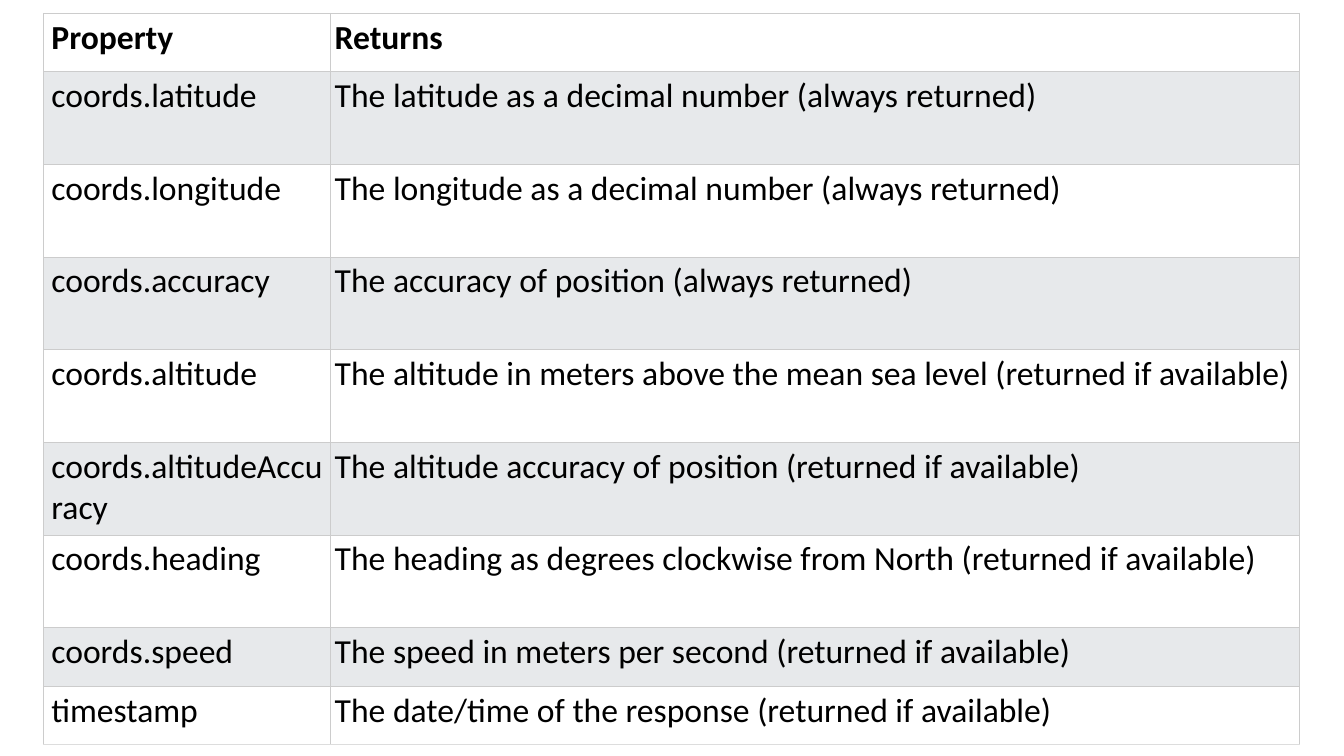
from lxml.etree import SubElement
from pptx import Presentation
from pptx.dml.color import RGBColor
from pptx.oxml.ns import qn
from pptx.util import Inches, Pt

PROPERTIES = [
    ("Property", "Returns"),
    ("coords.latitude", "The latitude as a decimal number (always returned)"),
    ("coords.longitude", "The longitude as a decimal number (always returned)"),
    ("coords.accuracy", "The accuracy of position (always returned)"),
    ("coords.altitude", "The altitude in meters above the mean sea level (returned if available)"),
    ("coords.altitudeAccuracy", "The altitude accuracy of position (returned if available)"),
    ("coords.heading", "The heading as degrees clockwise from North (returned if available)"),
    ("coords.speed", "The speed in meters per second (returned if available)"),
    ("timestamp", "The date/time of the response (returned if available)"),
]
SHORT_ROWS = {"Property", "coords.speed", "timestamp"}
BLACK, WHITE, BAND = "000000", "FFFFFF", "E7E9EB"
BORDER, LAST_BORDER = "CCCCCC", "DDDDDD"


def color(value):
    return RGBColor.from_string(value)


def set_borders(cell, bottom):
    properties = cell._tc.get_or_add_tcPr()
    sides = {"lnL": BORDER, "lnR": BORDER, "lnT": BORDER, "lnB": bottom}
    for side, value in sides.items():
        line = SubElement(properties, qn(f"a:{side}"), w=str(Pt(0.5)))
        fill = SubElement(line, qn("a:solidFill"))
        SubElement(fill, qn("a:srgbClr"), val=value)


def format_cell(cell, text, left_margin, background, bold, bottom):
    cell.text = text
    cell.margin_left = Inches(left_margin)
    cell.margin_top = cell.margin_right = cell.margin_bottom = Inches(0.04)
    set_borders(cell, bottom)
    cell.fill.solid()
    cell.fill.fore_color.rgb = color(background)
    font = cell.text_frame.paragraphs[0].font
    font.name, font.size, font.bold = "Calibri", Pt(24), bold
    font.color.rgb = color(BLACK)


def add_property_table(page, left, top, width, height):
    table = page.shapes.add_table(
        len(PROPERTIES), 2, Inches(left), Inches(top), Inches(width), Inches(height)
    ).table
    table.horz_banding = False
    name_width = 2.85
    table.columns[0].width = Inches(name_width)
    table.columns[1].width = Inches(width - name_width)
    last = len(PROPERTIES) - 1
    for index, entry in enumerate(PROPERTIES):
        table.rows[index].height = Inches(0.58 if entry[0] in SHORT_ROWS else 0.92)
        background = BAND if index % 2 else WHITE
        bottom = LAST_BORDER if index == last else BORDER
        for column, (text, margin) in enumerate(zip(entry, (0.08, 0.04))):
            format_cell(table.cell(index, column), text, margin, background, index == 0, bottom)


deck = Presentation()
deck.slide_width, deck.slide_height = Inches(13.33), Inches(7.5)
page = deck.slides.add_slide(deck.slide_layouts[6])
add_property_table(page, 0.43, 0.13, 12.46, 7.24)
deck.save("out.pptx")
